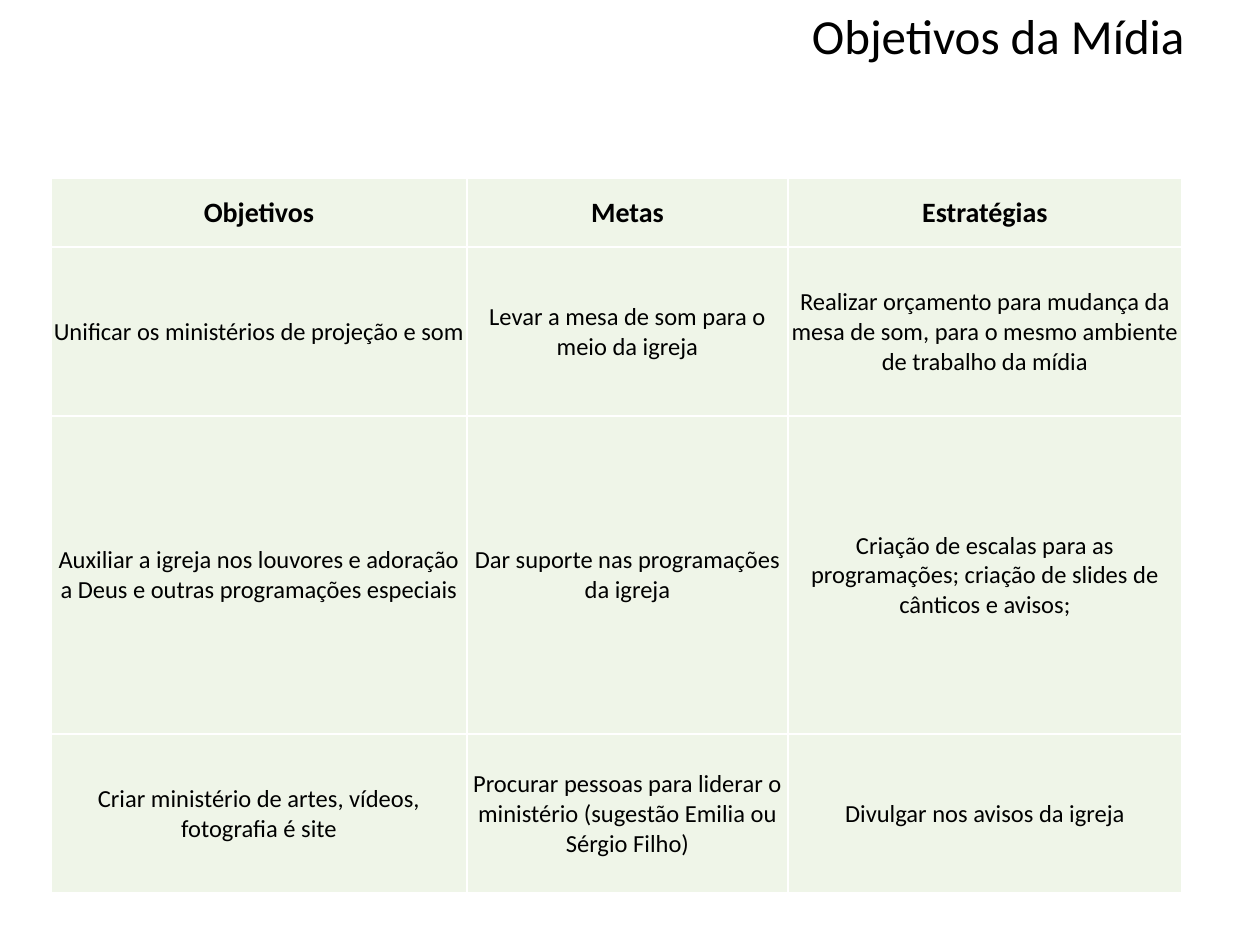
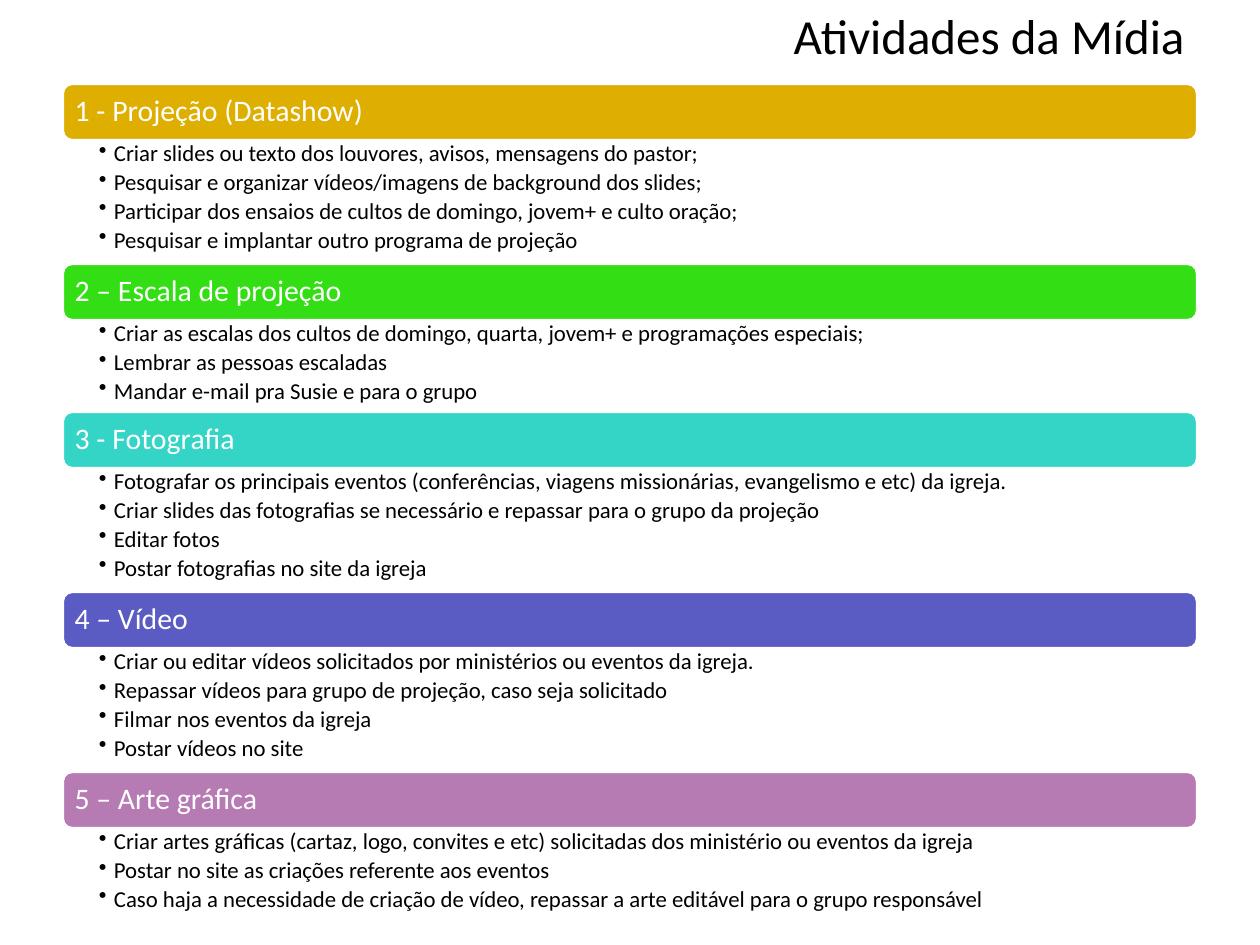
from lxml.etree import SubElement
from pptx import Presentation
from pptx.dml.color import RGBColor
from pptx.enum.shapes import MSO_SHAPE as SHAPE
from pptx.enum.text import MSO_ANCHOR as ANCHOR, PP_ALIGN as ALIGN
from pptx.oxml.ns import qn
from pptx.util import Pt

# Content
GOALS_TITLE = "Objetivos da Mídia"
GOALS = [
    ("Objetivos", "Metas", "Estratégias"),
    ("Unificar os ministérios de projeção e som",
     "Levar a mesa de som para o meio da igreja",
     "Realizar orçamento para mudança da mesa de som, para o mesmo ambiente de trabalho da mídia"),
    ("Auxiliar a igreja nos louvores e adoração a Deus e outras programações especiais",
     "Dar suporte nas programações da igreja",
     "Criação de escalas para as programações; criação de slides de cânticos e avisos;"),
    ("Criar ministério de artes, vídeos, fotografia é site",
     "Procurar pessoas para liderar o ministério (sugestão Emilia ou Sérgio Filho)",
     "Divulgar nos avisos da igreja"),
]
ACTIVITIES_TITLE = "Atividades da Mídia"
ACTIVITIES = [
    ("1 - Projeção (Datashow)", "gold", [
        "Criar slides ou texto dos louvores, avisos, mensagens do pastor;",
        "Pesquisar e organizar vídeos/imagens de background dos slides;",
        "Participar dos ensaios de cultos de domingo, jovem+ e culto oração;",
        "Pesquisar e implantar outro programa de projeção"]),
    ("2 – Escala de projeção", "green", [
        "Criar as escalas dos cultos de domingo, quarta, jovem+ e programações especiais;",
        "Lembrar as pessoas escaladas",
        "Mandar e-mail pra Susie e para o grupo"]),
    ("3 - Fotografia", "teal", [
        "Fotografar os principais eventos (conferências, viagens missionárias, evangelismo e etc) da igreja.",
        "Criar slides das fotografias se necessário e repassar para o grupo da projeção",
        "Editar fotos",
        "Postar fotografias no site da igreja"]),
    ("4 – Vídeo", "indigo", [
        "Criar ou editar vídeos solicitados por ministérios ou eventos da igreja.",
        "Repassar vídeos para grupo de projeção, caso seja solicitado",
        "Filmar nos eventos da igreja",
        "Postar vídeos no site"]),
    ("5 – Arte gráfica", "mauve", [
        "Criar artes gráficas (cartaz, logo, convites e etc) solicitadas dos ministério ou eventos da igreja",
        "Postar no site as criações referente aos eventos",
        "Caso haja a necessidade de criação de vídeo, repassar a arte editável para o grupo responsável"]),
]

# Shared look
COLORS = {"text": "000000", "white": "FFFFFF", "cell": "EFF5E8", "gold": "DEAE00",
          "green": "33DE15", "teal": "34D4C6", "indigo": "5A5BC3", "mauve": "B77BB4"}
FONT = "Calibri"
LEFT, WIDTH = 63, 1134

# Table and band measures in px
TABLE_LEFT, TABLE_TOP = 51, 178
COLS, ROWS = (416, 321, 394), (69, 169, 318, 159)
BANDS_TOP, BAND_H = 84, 56
LIST_H = {3: 92, 4: 124}


def px(n):
    return round(n * 914400 / 126)


def box(*lengths):
    return [px(n) for n in lengths]


def color(name):
    return RGBColor.from_string(COLORS[name])


def style(p, size, ink="text", bold=False, align=ALIGN.LEFT):
    p.alignment = align
    p.font.name, p.font.size, p.font.bold = FONT, Pt(size), bold
    p.font.color.rgb = color(ink)


def margins(o, left, top, right, bottom):
    o.margin_left, o.margin_top, o.margin_right, o.margin_bottom = box(left, top, right, bottom)


def titled_slide(prs, text):
    s = prs.slides.add_slide(prs.slide_layouts[5])
    title = s.shapes.title
    title.left, title.top, title.width, title.height = box(LEFT, -4, WIDTH, 77)
    tf = title.text_frame
    tf.text, tf.vertical_anchor = text, ANCHOR.MIDDLE
    style(tf.paragraphs[0], 28, align=ALIGN.RIGHT)
    return s


def white_borders(cell):
    tc_pr = cell._tc.get_or_add_tcPr()
    for i, side in enumerate(("lnL", "lnR", "lnT", "lnB")):
        ln = tc_pr.makeelement(qn(f"a:{side}"), {"w": str(Pt(1))})
        fill = SubElement(ln, qn("a:solidFill"))
        SubElement(fill, qn("a:srgbClr"), val=COLORS["white"])
        tc_pr.insert(i, ln)


def add_goals_table(s):
    frame = s.shapes.add_table(len(ROWS), len(COLS),
                               *box(TABLE_LEFT, TABLE_TOP, sum(COLS), sum(ROWS)))
    table = frame.table
    for col, w in zip(table.columns, COLS):
        col.width = px(w)
    for r, (row, h) in enumerate(zip(table.rows, ROWS)):
        row.height = px(h)
        for cell, text in zip(row.cells, GOALS[r]):
            cell.text, cell.vertical_anchor = text, ANCHOR.MIDDLE
            margins(cell, 1, 1, 1, 0)
            cell.fill.solid()
            cell.fill.fore_color.rgb = color("cell")
            white_borders(cell)
            style(cell.text_frame.paragraphs[0], 14 if r else 16, bold=r == 0, align=ALIGN.CENTER)


def add_band(s, top, heading, fill):
    sp = s.shapes.add_shape(SHAPE.ROUNDED_RECTANGLE, *box(LEFT, top, WIDTH, BAND_H))
    sp.shadow.inherit = False
    sp.fill.solid()
    sp.fill.fore_color.rgb = color(fill)
    sp.line.color.rgb = color("white")
    sp.line.width = Pt(1.25)
    tf = sp.text_frame
    tf.text, tf.word_wrap, tf.vertical_anchor = heading, True, ANCHOR.MIDDLE
    margins(tf, 9, 9, 9, 9)
    p = tf.paragraphs[0]
    p.line_spacing = 0.9
    style(p, 17, "white")


def add_tasks(s, top, tasks):
    tf = s.shapes.add_textbox(*box(LEFT, top, WIDTH, LIST_H[len(tasks)])).text_frame
    tf.word_wrap = True
    margins(tf, 36, 2, 16, 2)
    for i, task in enumerate(tasks):
        p = tf.add_paragraph() if i else tf.paragraphs[0]
        p.text, p.level = task, 1
        p_pr = p._p.get_or_add_pPr()
        p_pr.set("marL", str(px(15)))
        p_pr.set("indent", str(px(-15)))
        SubElement(p_pr, qn("a:buChar"), char="•")
        p.line_spacing, p.space_after = 0.9, Pt(2.4)
        style(p, 13)


def main():
    prs = Presentation()
    prs.slide_width, prs.slide_height = box(1260, 945)

    # Goals table
    add_goals_table(titled_slide(prs, GOALS_TITLE))

    # Activities: each band with its tasks, stacked
    s = titled_slide(prs, ACTIVITIES_TITLE)
    top = BANDS_TOP
    for heading, fill, tasks in ACTIVITIES:
        add_band(s, top, heading, fill)
        add_tasks(s, top + BAND_H, tasks)
        top += BAND_H + LIST_H[len(tasks)]

    prs.save("out.pptx")


if __name__ == "__main__":
    main()
